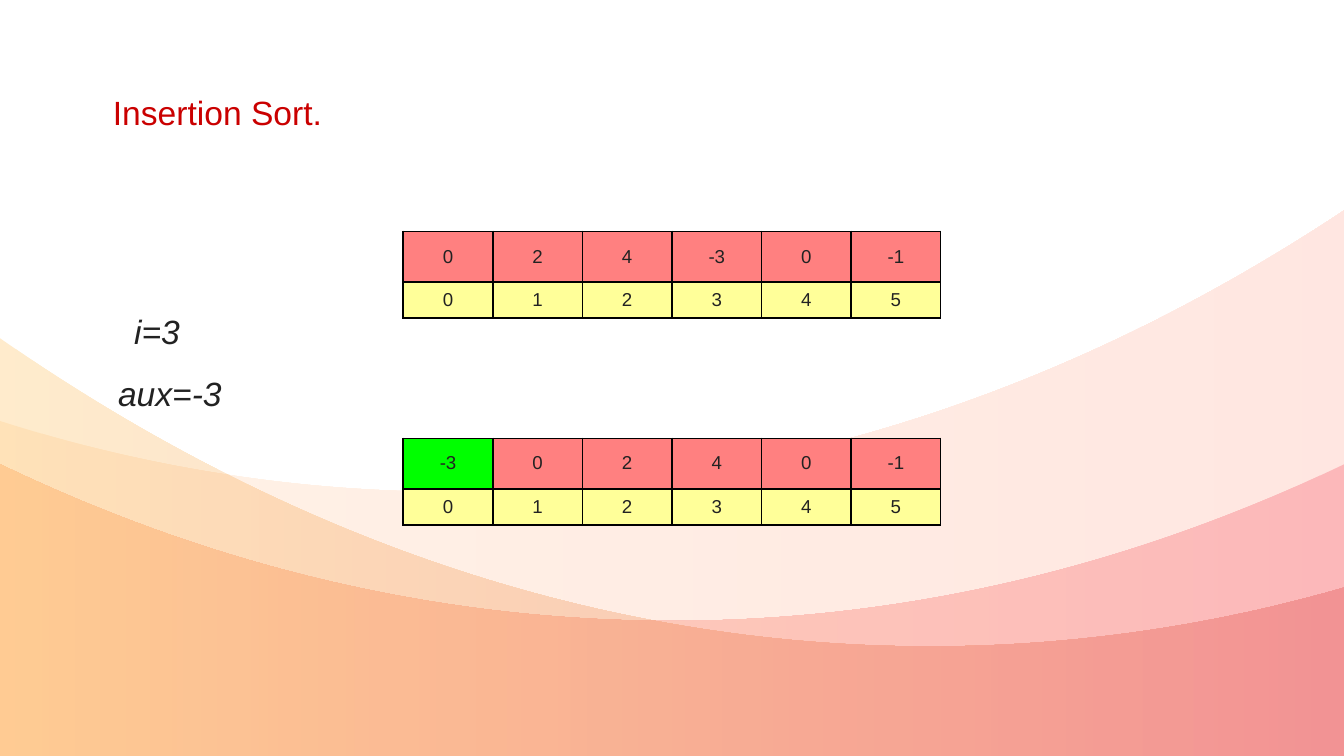
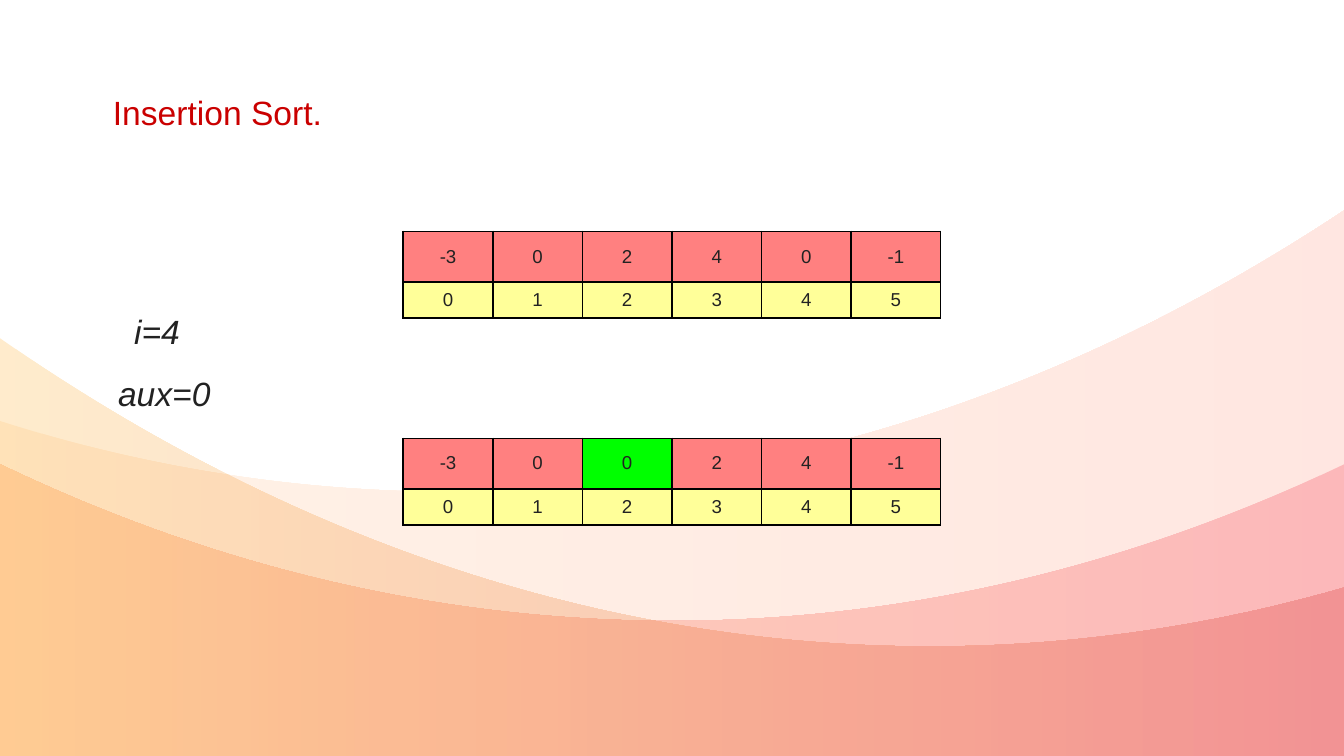
from dataclasses import dataclass

from lxml.etree import SubElement
from pptx import Presentation
from pptx.dml.color import RGBColor as Rgb
from pptx.enum.text import MSO_ANCHOR as Anchor, MSO_AUTO_SIZE as AutoSize, PP_ALIGN as Align
from pptx.oxml.ns import qn
from pptx.slide import Slide, SlideLayout
from pptx.table import _Cell as Cell
from pptx.text.text import TextFrame
from pptx.util import Emu, Inches, Pt

# The 16:9 slide is a grid of square units, 100 columns wide
WIDTH = Inches(10)
HEIGHT = Emu(WIDTH * 9 // 16)
UNIT = WIDTH / 100

FONT = "Arial"
COLOURS = {
    "title": "CA0000",
    "text": "222222",
    "value": "FF8080",
    "index": "FFFF99",
    "inserted": "00FF00",
    "border": "000000",
}


@dataclass(frozen=True)
class Box:
    left: float
    top: float
    width: float
    height: float


@dataclass(frozen=True)
class Wave:
    """Bottom point, controls and end of the left curve, then of the right one."""
    crest: tuple[float, float]
    left: tuple[tuple[float, float], ...]
    right: tuple[tuple[float, float], ...]
    colours: tuple[str, str]
    angle: int = 0


@dataclass(frozen=True)
class Step:
    i: int
    before: list[int]

    @property
    def aux(self) -> int:
        return self.before[self.i]

    @property
    def target(self) -> int:
        return sum(value <= self.aux for value in self.before[:self.i])

    @property
    def after(self) -> list[int]:
        rest = self.before[:self.i] + self.before[self.i + 1:]
        return rest[:self.target] + [self.aux] + rest[self.target:]


EDGE_LEFT, EDGE_RIGHT, FLOOR = -0.1, 100.1, 56.3
WAVES = (
    Wave((33.7, 36.6), ((22.1, 36.6), (10.8, 34.8), (EDGE_LEFT, 31.3)),
         ((EDGE_RIGHT, 15.6), (79.8, 29.1), (57.3, 36.6)), ("FFC486", "FF866B")),
    Wave((50, 46.2), ((32.5, 46.2), (15.7, 42.1), (EDGE_LEFT, 34.5)),
         ((EDGE_RIGHT, 34.5), (84.3, 42.1), (67.5, 46.2)), ("F20122", "FF6A00"), 180),
    Wave((69.2, 48.1), ((44.4, 48.1), (20.9, 39.8), (EDGE_LEFT, 25.1)),
         ((EDGE_RIGHT, 43.7), (90.1, 46.6), (79.7, 48.1)), ("FF9F00", "CC0000")),
)
WAVE_ALPHA = 20

TITLE_BOX = Box(7.4, 6.35, 17.6, 4)
COUNTER_BOX = Box(9, 22.65, 5.4, 4)
AUX_BOX = Box(7.8, 27.25, 10.2, 4)
ARRAY_LEFT, ARRAY_TOP, ARRAY_WIDTH = 30, 17.23, 40
VALUE_ROW, INDEX_ROW, GAP_ROW = 3.75, 2.68, 2.99
ROWS = (VALUE_ROW, INDEX_ROW, GAP_ROW, GAP_ROW, GAP_ROW, VALUE_ROW, INDEX_ROW)


def units(count: float) -> Emu:
    return Emu(round(count * UNIT))


def corners(box: Box) -> tuple[Emu, Emu, Emu, Emu]:
    return units(box.left), units(box.top), units(box.width), units(box.height)


def write(frame: TextFrame, text: str, size: float, colour: str = "text",
          italic: bool = False, align: Align = Align.LEFT) -> None:
    paragraph = frame.paragraphs[0]
    paragraph.alignment = align
    run = paragraph.add_run()
    run.text = text
    run.font.name, run.font.size, run.font.italic = FONT, Pt(size), italic
    run.font.color.rgb = Rgb.from_string(COLOURS[colour])


# Background waves
def bend(outline, first: int) -> None:
    """Turn three straight segments into one cubic curve."""
    segments = outline.findall(qn("a:lnTo"))[first:first + 3]
    curve = outline.makeelement(qn("a:cubicBezTo"))
    segments[0].addprevious(curve)
    for segment in segments:
        curve.append(segment[0])
        outline.remove(segment)


def add_wave(slide: Slide, layout: SlideLayout, wave: Wave, depth: int) -> None:
    """Draw the wave, then hand it to the layout that all slides share."""
    floor = ((EDGE_LEFT, FLOOR), (EDGE_RIGHT, FLOOR))
    corner_points = (wave.crest, *wave.left, *floor, *wave.right, wave.crest)
    start, *rest = [(units(x), units(y)) for x, y in corner_points]
    builder = slide.shapes.build_freeform(*start)
    builder.add_line_segments(rest, close=True)
    shape = builder.convert_to_shape()
    shape.shadow.inherit = False
    shape.line.fill.background()
    outline = next(shape.element.iter(qn("a:moveTo"))).getparent()
    # Left curve, two floor lines and the line to the right edge, right curve
    bend(outline, 6)
    bend(outline, 0)
    shape.fill.gradient()
    shape.fill.gradient_angle = wave.angle
    for stop, colour, position in zip(shape.fill.gradient_stops, wave.colours, (0, 1)):
        stop.color.rgb = Rgb.from_string(colour)
        stop.position = position
    for tint in shape.element.spPr.iter(qn("a:srgbClr")):
        SubElement(tint, qn("a:alpha"), val=str(WAVE_ALPHA * 1000))
    layout.shapes.element.insert(2 + depth, shape.element)


# Title and variables
def add_title(slide: Slide, text: str) -> None:
    title = slide.shapes.title
    title.left, title.top, title.width, title.height = corners(TITLE_BOX)
    frame = title.text_frame
    frame.word_wrap, frame.auto_size = False, AutoSize.SHAPE_TO_FIT_TEXT
    frame.vertical_anchor = Anchor.TOP
    write(frame, text, 18, "title")


def add_variable(slide: Slide, text: str, box: Box, wrap: bool) -> None:
    frame = slide.shapes.add_textbox(*corners(box)).text_frame
    frame.word_wrap, frame.auto_size = wrap, AutoSize.SHAPE_TO_FIT_TEXT
    write(frame, text, 18, italic=True)


# Array table
def set_borders(cell: Cell, sides: str) -> None:
    properties = cell._tc.get_or_add_tcPr()
    for side in "LRTB":
        line = SubElement(properties, qn(f"a:ln{side}"), w=str(Pt(1)))
        if side in sides:
            fill = SubElement(line, qn("a:solidFill"))
            SubElement(fill, qn("a:srgbClr"), val=COLOURS["border"])
        else:
            SubElement(line, qn("a:noFill"))


def fill_row(cells: list[Cell], numbers: list[int], colour: str, inserted: int = -1) -> None:
    for column, (cell, number) in enumerate(zip(cells, numbers)):
        set_borders(cell, "LRTB")
        cell.fill.solid()
        shade = COLOURS["inserted" if column == inserted else colour]
        cell.fill.fore_color.rgb = Rgb.from_string(shade)
        write(cell.text_frame, str(number), 10, align=Align.CENTER)


def clear_row(cells: list[Cell], sides: str) -> None:
    for cell in cells:
        set_borders(cell, sides)
        cell.fill.background()
        SubElement(cell.text_frame.paragraphs[0]._p, qn("a:endParaRPr"), sz="1000")


def add_arrays(slide: Slide, step: Step) -> None:
    count = len(step.before)
    area = Box(ARRAY_LEFT, ARRAY_TOP, ARRAY_WIDTH, sum(ROWS))
    table = slide.shapes.add_table(len(ROWS), count, *corners(area)).table
    table.first_row = table.horz_banding = False
    for row, height in zip(table.rows, ROWS):
        row.height = units(height)
    for column in table.columns:
        column.width = units(ARRAY_WIDTH / count)
    for cell in table.iter_cells():
        cell.margin_left = cell.margin_right = cell.margin_top = cell.margin_bottom = 0
        cell.vertical_anchor = Anchor.MIDDLE

    rows = [list(row.cells) for row in table.rows]
    fill_row(rows[0], step.before, "value")
    fill_row(rows[5], step.after, "value", step.target)
    for indices in (rows[1], rows[6]):
        fill_row(indices, list(range(count)), "index")
    for gap, sides in zip(rows[2:5], ("T", "", "B")):
        clear_row(gap, sides)


def main() -> None:
    deck = Presentation()
    deck.slide_width, deck.slide_height = WIDTH, HEIGHT
    layout = deck.slide_layouts.get_by_name("Title Only")
    values = [0, 2, 4, -3, 0, -1]
    for i in (3, 4):
        step = Step(i, values)
        slide = deck.slides.add_slide(layout)
        add_title(slide, "Insertion Sort.")
        add_variable(slide, f"i={step.i}", COUNTER_BOX, wrap=False)
        add_variable(slide, f"aux={step.aux}", AUX_BOX, wrap=True)
        add_arrays(slide, step)
        values = step.after
    for depth, wave in enumerate(WAVES):
        add_wave(deck.slides[0], layout, wave, depth)
    deck.save("out.pptx")


if __name__ == "__main__":
    main()
